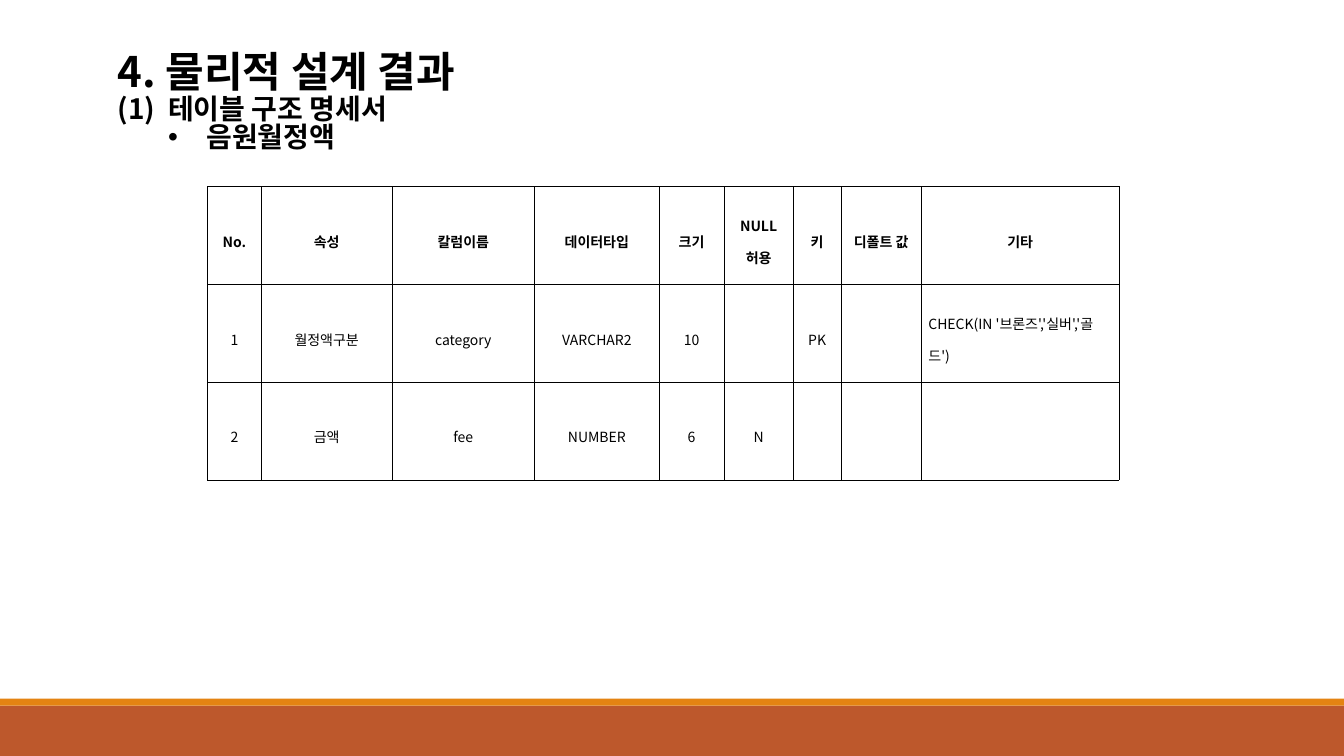
import lxml.etree
import pptx
import pptx.dml.color
import pptx.enum.shapes
import pptx.enum.text
import pptx.oxml.ns
import pptx.util

THEME = {
    "font": "Noto Sans CJK KR", "bullet_font": "Arial",
    "ink": "000000", "footer": "BD582C", "accent": "E48312",
    "heading": 30, "subheading": 20, "cell": 10, "border": 0.28,
}

presentation = pptx.Presentation()
presentation.slide_width = pptx.util.Inches(13.33)
presentation.slide_height = pptx.util.Inches(7.5)
slide = presentation.slides.add_slide(presentation.slide_layouts[5])


def share(percent, whole):
    """Length as a percentage of the slide's width or height."""
    return pptx.util.Emu(round(whole * percent / 100))


def style_run(run, size, bold):
    run.font.size = pptx.util.Pt(size)
    run.font.bold = bold
    run.font.name = THEME["font"]
    run.font.color.rgb = pptx.dml.color.RGBColor.from_string(THEME["ink"])
    east_asian = lxml.etree.SubElement(run.font._element, pptx.oxml.ns.qn("a:ea"))
    east_asian.set("typeface", THEME["font"])


width, height = presentation.slide_width, presentation.slide_height

# Footer bands: top and depth in percent of the height
for top, depth, color in ((93.33, 6.67, "footer"), (92.4, 0.93, "accent")):
    band = slide.shapes.add_shape(
        pptx.enum.shapes.MSO_SHAPE.RECTANGLE,
        0, share(top, height), width, share(depth, height))
    band.shadow.inherit = False
    band.fill.solid()
    band.fill.fore_color.rgb = pptx.dml.color.RGBColor.from_string(THEME[color])
    band.line.fill.background()

# Heading with its numbered and bulleted lines
heading = slide.shapes.title
heading.left, heading.width = share(8, width), share(36.3, width)
heading.top, heading.height = share(6.4, height), share(17.07, height)
heading_text = heading.text_frame
heading_text.text = "4. 물리적 설계 결과\n테이블 구조 명세서\n음원월정액"
heading_text.word_wrap = True
heading_text.auto_size = pptx.enum.text.MSO_AUTO_SIZE.SHAPE_TO_FIT_TEXT
heading_text.vertical_anchor = pptx.enum.text.MSO_ANCHOR.TOP

# Level, left margin and hanging indent in inches, bullet tag and its attributes
outline = (
    (0, 0, 0, "a:buNone", {}, "heading"),
    (0, 0.5, -0.5, "a:buAutoNum", {"type": "arabicParenBoth"}, "subheading"),
    (1, 0.88, -0.38, "a:buChar", {"char": "•"}, "subheading"),
)
for line, (level, margin, indent, tag, bullet, size) in zip(heading_text.paragraphs, outline):
    line.level = level
    line.alignment = pptx.enum.text.PP_ALIGN.LEFT
    line.line_spacing = 0.85
    line.space_before = pptx.util.Pt(0)
    properties = line._p.get_or_add_pPr()
    properties.set("marL", str(pptx.util.Inches(margin)))
    properties.set("indent", str(pptx.util.Inches(indent)))
    if tag == "a:buChar":
        lxml.etree.SubElement(properties, pptx.oxml.ns.qn("a:buFont"),
                              typeface=THEME["bullet_font"])
    lxml.etree.SubElement(properties, pptx.oxml.ns.qn(tag), bullet)
    for run in line.runs:
        style_run(run, THEME[size], True)

# Table of column definitions
rows = (
    ("No.", "속성", "칼럼이름", "데이터타입", "크기", "NULL 허용", "키", "디폴트 값", "기타"),
    ("1", "월정액구분", "category", "VARCHAR2", "10", "", "PK", "",
     "CHECK(IN '브론즈','실버','골드')"),
    ("2", "금액", "fee", "NUMBER", "6", "N", "", "", ""),
)
column_shares = (3.98, 9.75, 10.58, 9.3, 4.8, 5.18, 3.53, 6, 14.7)
row_share = 12.93
specification = slide.shapes.add_table(
    len(rows), len(column_shares), share(15.45, width), share(24.67, height),
    share(sum(column_shares), width), share(row_share * len(rows), height)).table
specification.first_row = False
specification.horz_banding = False
for column, column_share in zip(specification.columns, column_shares):
    column.width = share(column_share, width)

for row_number, values in enumerate(rows):
    specification.rows[row_number].height = share(row_share, height)
    for column_number, value in enumerate(values):
        cell = specification.cell(row_number, column_number)
        cell.text = value
        cell.vertical_anchor = pptx.enum.text.MSO_ANCHOR.MIDDLE
        cell.margin_left = cell.margin_right = pptx.util.Inches(0.07)
        cell.margin_top = cell.margin_bottom = pptx.util.Inches(0.02)
        content = cell.text_frame.paragraphs[0]
        content.line_spacing = 1.6
        is_check = row_number > 0 and column_number == len(values) - 1
        content.alignment = (pptx.enum.text.PP_ALIGN.LEFT if is_check
                             else pptx.enum.text.PP_ALIGN.CENTER)
        for run in content.runs:
            style_run(run, THEME["cell"], row_number == 0)
        # Thin border on all four sides
        cell_properties = cell._tc.get_or_add_tcPr()
        for side in ("a:lnL", "a:lnR", "a:lnT", "a:lnB"):
            border = lxml.etree.SubElement(
                cell_properties, pptx.oxml.ns.qn(side),
                w=str(pptx.util.Pt(THEME["border"])))
            stroke = lxml.etree.SubElement(border, pptx.oxml.ns.qn("a:solidFill"))
            lxml.etree.SubElement(stroke, pptx.oxml.ns.qn("a:srgbClr"), val=THEME["ink"])
        cell.fill.background()

presentation.save("out.pptx")
